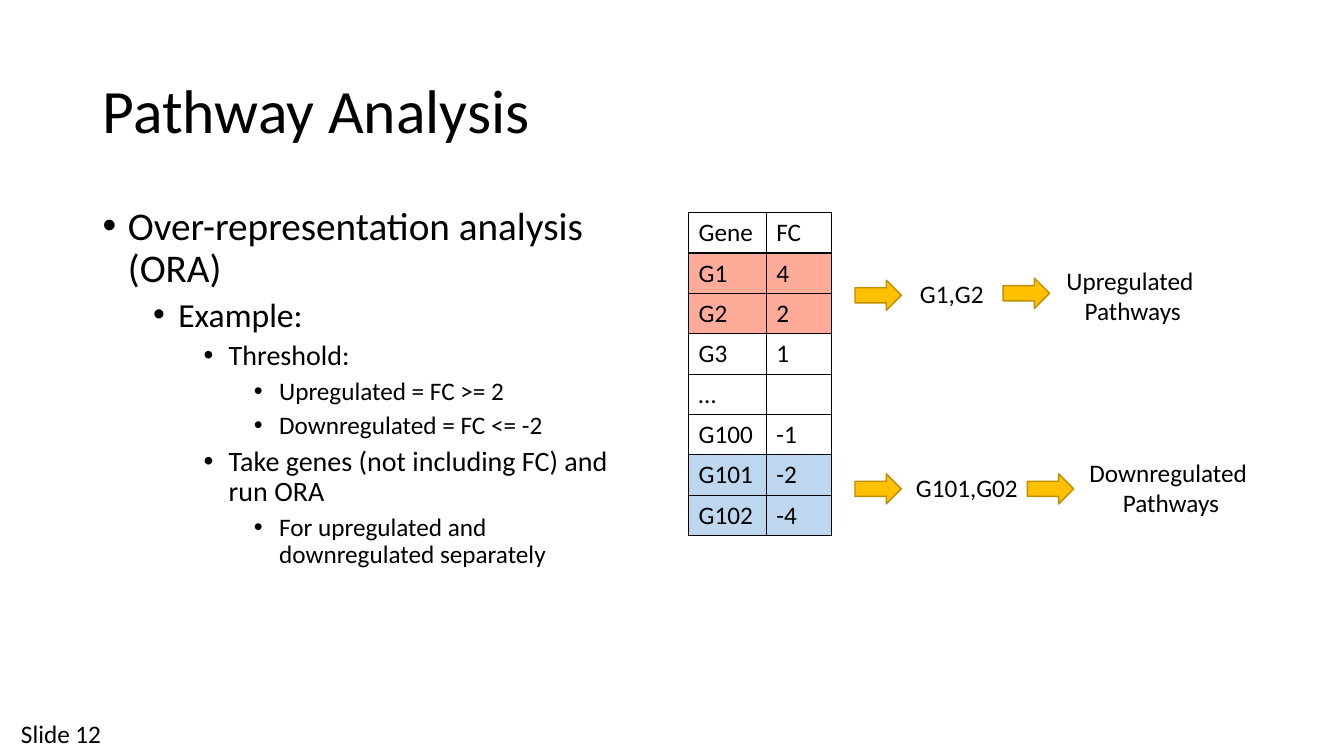
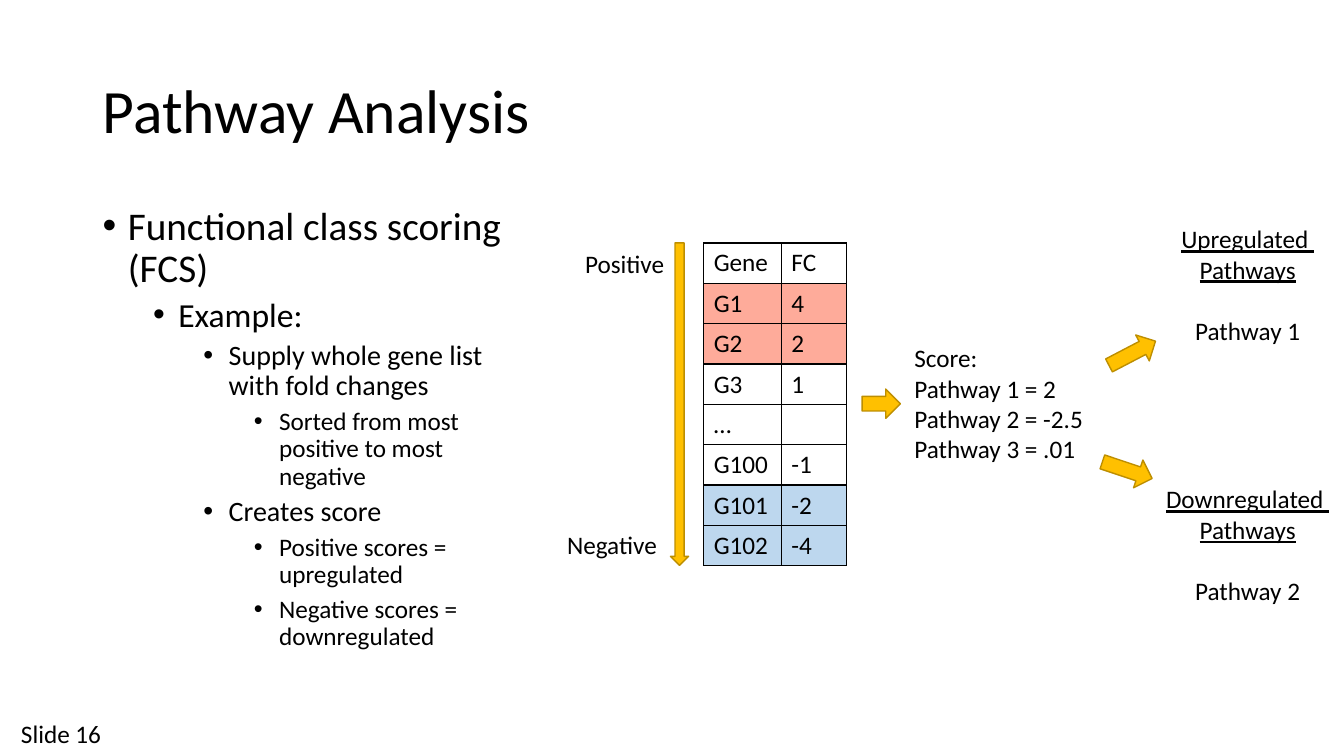
from dataclasses import dataclass

import pptx
import pptx.dml.color
import pptx.enum.shapes
import pptx.enum.text
import pptx.oxml
import pptx.oxml.ns
import pptx.util
from pptx.util import Inches

FONT = "Calibri"
BLACK, GOLD, GOLD_LINE = "000000", "FFC000", "BD8E00"
UP_FILL, DOWN_FILL = "FEAB9A", "BDD7EE"
BODY_SIZE = 18
LEVEL_SIZES = (28, 24, 20, 18)
COLUMN_WIDTHS = (0.77, 0.65)
ROW_HEIGHT = 0.4
GENES = (
    ("Gene", "FC", None),
    ("G1", "4", UP_FILL),
    ("G2", "2", UP_FILL),
    ("G3", "1", None),
    ("…", "", None),
    ("G100", "-1", None),
    ("G101", "-2", DOWN_FILL),
    ("G102", "-4", DOWN_FILL),
)

RIGHT = pptx.enum.shapes.MSO_SHAPE.RIGHT_ARROW
DOWN = pptx.enum.shapes.MSO_SHAPE.DOWN_ARROW
LEFT_ALIGN = pptx.enum.text.PP_ALIGN.LEFT
CENTER = pptx.enum.text.PP_ALIGN.CENTER


@dataclass
class Bullet:
    level: int
    text: str


@dataclass
class Label:
    left: float
    top: float
    width: float
    lines: tuple[str, ...]
    align: pptx.enum.text.PP_ALIGN = CENTER
    heading_lines: int = 0  # underlined lines, followed by a gap


@dataclass
class Arrow:
    left: float
    top: float
    width: float = 0.46
    height: float = 0.3
    rotation: float = 0
    kind: pptx.enum.shapes.MSO_SHAPE = RIGHT


@dataclass
class PathwaySlide:
    number: int
    body_width: float
    bullets: tuple[Bullet, ...]
    table_left: float
    table_top: float
    labels: tuple[Label, ...]
    arrows: tuple[Arrow, ...]


SLIDES = (
    PathwaySlide(
        number=12,
        body_width=5.25,
        bullets=(
            Bullet(0, "Over-representation analysis (ORA)"),
            Bullet(1, "Example:"),
            Bullet(2, "Threshold:"),
            Bullet(3, "Upregulated = FC >= 2"),
            Bullet(3, "Downregulated = FC <= -2"),
            Bullet(2, "Take genes (not including FC) and run ORA"),
            Bullet(3, "For upregulated and downregulated separately"),
        ),
        table_left=6.83,
        table_top=2.11,
        labels=(
            Label(10.33, 2.58, 1.81, ("Upregulated ", "Pathways")),
            Label(10.65, 4.49, 1.93, ("Downregulated ", "Pathways")),
            Label(8.7, 4.64, 1.78, ("G101,G02",)),
            Label(8.55, 2.71, 1.78, ("G1,G2",)),
        ),
        arrows=(
            Arrow(8.48, 2.78),
            Arrow(9.95, 2.76),
            Arrow(8.48, 4.7),
            Arrow(10.19, 4.7),
        ),
    ),
    PathwaySlide(
        number=16,
        body_width=4.43,
        bullets=(
            Bullet(0, "Functional class scoring (FCS)"),
            Bullet(1, "Example:"),
            Bullet(2, "Supply whole gene list with fold changes"),
            Bullet(3, "Sorted from most positive to most negative"),
            Bullet(2, "Creates score"),
            Bullet(3, "Positive scores = upregulated"),
            Bullet(3, "Negative scores = downregulated"),
        ),
        table_left=6.98,
        table_top=2.41,
        labels=(
            Label(8.97, 3.35, 2.01,
                  ("Score:", "Pathway 1 = 2", "Pathway 2 = -2.5", "Pathway 3 = .01"),
                  LEFT_ALIGN),
            Label(5.67, 2.41, 1.05, ("Positive",)),
            Label(5.49, 5.2, 1.16, ("Negative",)),
            Label(11.47, 2.17, 1.81, ("Upregulated ", "Pathways", "Pathway 1"),
                  heading_lines=2),
            Label(11.41, 4.75, 1.93, ("Downregulated ", "Pathways", "Pathway 2"),
                  heading_lines=2),
        ),
        arrows=(
            Arrow(6.65, 2.41, 0.18, 3.2, kind=DOWN),
            Arrow(10.97, 3.36, 0.52, 0.29, 332.4),
            Arrow(10.92, 4.52, 0.52, 0.29, 18.5),
            Arrow(8.55, 3.86, 0.38, 0.29),
        ),
    ),
)


def color(value: str) -> pptx.dml.color.RGBColor:
    return pptx.dml.color.RGBColor.from_string(value)


def format_runs(paragraph, size: float = BODY_SIZE, underline: bool = False) -> None:
    for run in paragraph.runs:
        run.font.name = FONT
        run.font.size = pptx.util.Pt(size)
        run.font.color.rgb = color(BLACK)
        if underline:
            run.font.underline = True


def add_text_frame(slide, left: float, top: float, width: float, height: float,
                   lines: tuple[str, ...]):
    box = slide.shapes.add_textbox(Inches(left), Inches(top), Inches(width), Inches(height))
    box.text_frame.word_wrap = True
    box.text_frame.text = "\n".join(lines)
    return box.text_frame


# Shared title and footer
def add_frame(slide, number: int) -> None:
    title = add_text_frame(slide, 0.92, 0.4, 11.5, 1.45, ("Pathway Analysis",))
    title.vertical_anchor = pptx.enum.text.MSO_ANCHOR.MIDDLE
    title.paragraphs[0].line_spacing = 0.9
    format_runs(title.paragraphs[0], 44)
    add_label(slide, Label(0.11, 7.08, 1.13, (f"Slide {number}",), LEFT_ALIGN))


# Bulleted outline
def add_bullets(slide, width: float, bullets: tuple[Bullet, ...]) -> None:
    frame = add_text_frame(slide, 0.92, 2, width, 4.76, tuple(b.text for b in bullets))
    for index, (paragraph, bullet) in enumerate(zip(frame.paragraphs, bullets)):
        properties = paragraph._p.get_or_add_pPr()
        properties.set("marL", str(Inches(0.25 + 0.5 * bullet.level)))
        properties.set("indent", str(Inches(-0.25)))
        for tag, key, value in (("a:buFont", "typeface", "Arial"), ("a:buChar", "char", "•")):
            element = pptx.oxml.parse_xml(f"<{tag} {pptx.oxml.ns.nsdecls('a')}/>")
            element.set(key, value)
            properties.append(element)
        paragraph.level = bullet.level
        paragraph.line_spacing = 0.9
        if index:
            paragraph.space_before = pptx.util.Pt(5)
        format_runs(paragraph, LEVEL_SIZES[bullet.level])


# Gene table
def add_borders(cell) -> None:
    properties = cell._tc.get_or_add_tcPr()
    for position, side in enumerate(("lnL", "lnR", "lnT", "lnB")):
        properties.insert(position, pptx.oxml.parse_xml(
            f'<a:{side} {pptx.oxml.ns.nsdecls("a")} w="{pptx.util.Pt(1)}"><a:solidFill>'
            f'<a:srgbClr val="{BLACK}"/></a:solidFill></a:{side}>'))


def add_gene_table(slide, left: float, top: float) -> None:
    table = slide.shapes.add_table(
        len(GENES), len(COLUMN_WIDTHS), Inches(left), Inches(top),
        Inches(sum(COLUMN_WIDTHS)), Inches(ROW_HEIGHT * len(GENES))).table
    table.first_row = table.horz_banding = False
    for column, width in zip(table.columns, COLUMN_WIDTHS):
        column.width = Inches(width)
    for row, (gene, fold_change, fill) in zip(table.rows, GENES):
        row.height = Inches(ROW_HEIGHT)
        for cell, text in zip(row.cells, (gene, fold_change)):
            cell.text_frame.text = text
            format_runs(cell.text_frame.paragraphs[0])
            if fill:
                cell.fill.solid()
                cell.fill.fore_color.rgb = color(fill)
            else:
                cell.fill.background()
            add_borders(cell)


# Flow labels and arrows
def add_label(slide, label: Label) -> None:
    line_count = len(label.lines) + bool(label.heading_lines)
    frame = add_text_frame(slide, label.left, label.top, label.width,
                           0.1 + 0.3 * line_count, label.lines)
    for index, paragraph in enumerate(frame.paragraphs):
        paragraph.alignment = label.align
        if index and index == label.heading_lines:
            paragraph.space_before = pptx.util.Pt(22)
        format_runs(paragraph, underline=index < label.heading_lines)


def add_arrow(slide, arrow: Arrow) -> None:
    shape = slide.shapes.add_shape(arrow.kind, Inches(arrow.left), Inches(arrow.top),
                                   Inches(arrow.width), Inches(arrow.height))
    shape.rotation = arrow.rotation
    shape.shadow.inherit = False
    shape.fill.solid()
    shape.fill.fore_color.rgb = color(GOLD)
    shape.line.color.rgb = color(GOLD_LINE)
    shape.line.width = pptx.util.Pt(1)


def main() -> None:
    presentation = pptx.Presentation()
    presentation.slide_width = Inches(13.33)
    presentation.slide_height = Inches(7.5)
    for content in SLIDES:
        slide = presentation.slides.add_slide(presentation.slide_layouts[6])
        add_frame(slide, content.number)
        add_bullets(slide, content.body_width, content.bullets)
        add_gene_table(slide, content.table_left, content.table_top)
        for label in content.labels:
            add_label(slide, label)
        for arrow in content.arrows:
            add_arrow(slide, arrow)
    presentation.save("out.pptx")


if __name__ == "__main__":
    main()
